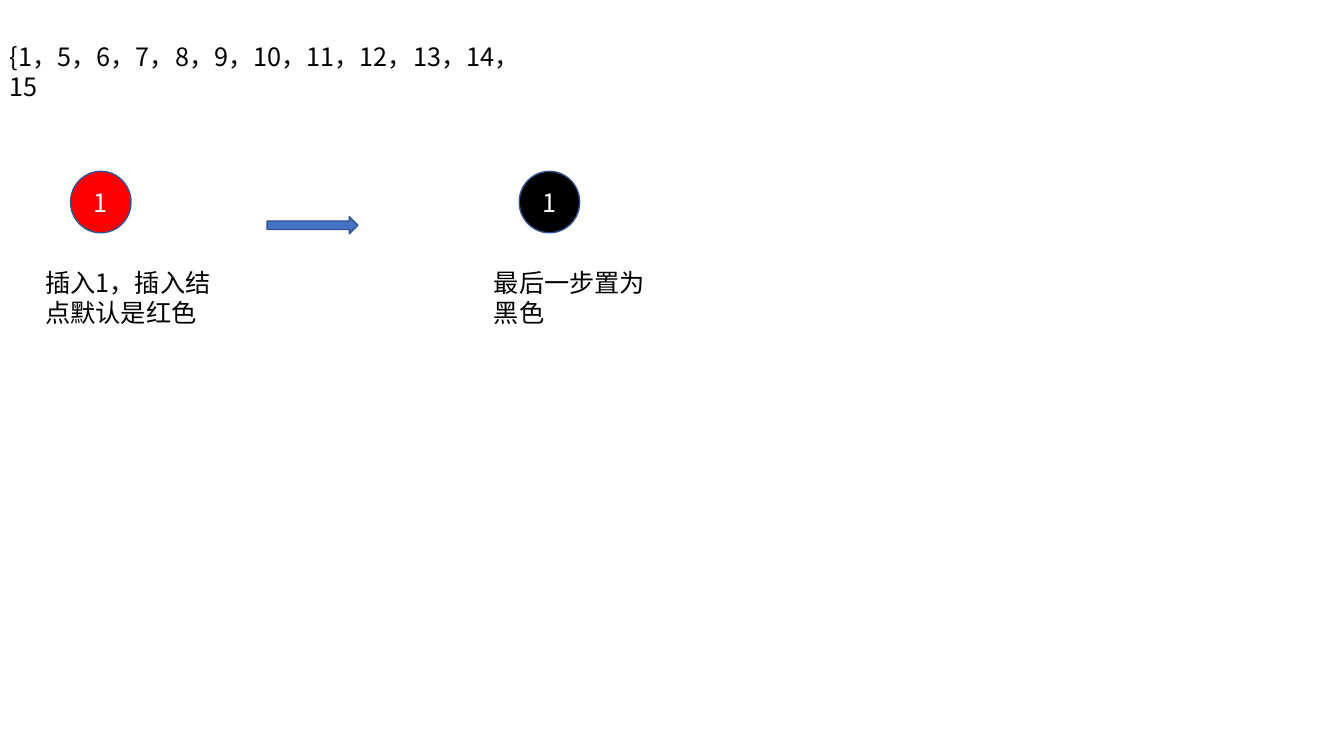
from lxml.etree import SubElement
from pptx import Presentation
from pptx.dml.color import RGBColor
from pptx.enum.shapes import MSO_SHAPE as Shape
from pptx.enum.text import MSO_ANCHOR as Anchor, MSO_AUTO_SIZE as AutoSize, PP_ALIGN as Align
from pptx.oxml.ns import qn
from pptx.util import Inches, Pt

FONT = "Noto Sans CJK SC"
BLACK = RGBColor(0x00, 0x00, 0x00)
WHITE = RGBColor(0xFF, 0xFF, 0xFF)
RED = RGBColor(0xFF, 0x00, 0x00)
BLUE = RGBColor(0x44, 0x72, 0xC4)
OUTLINE = RGBColor(0x32, 0x54, 0x91)

deck = Presentation()
deck.slide_width, deck.slide_height = Inches(13.33), Inches(7.5)
page = deck.slides.add_slide(deck.slide_layouts[6])


def write(box, text, color):
    frame = box.text_frame
    frame.word_wrap = True
    span = frame.paragraphs[0].add_run()
    span.text = text
    span.font.size = Pt(18)
    span.font.name = FONT
    span.font.color.rgb = color
    SubElement(span.font._element, qn("a:ea"), typeface=FONT)
    return frame


def draw(kind, left, top, width, height, fill):
    shape = page.shapes.add_shape(kind, Inches(left), Inches(top), Inches(width), Inches(height))
    shape.shadow.inherit = False
    shape.fill.solid()
    shape.fill.fore_color.rgb = fill
    shape.line.color.rgb = OUTLINE
    shape.line.width = Pt(1)
    return shape


keys = [1, *range(5, 16)]
captions = [(0, 0.36, 5.45, 0.4, "{" + ",".join(map(str, keys)))]

first_column, column_step = 0.35, 4.45
steps = [
    (RED, 2.08, "插入1,插入结点默认是红色"),
    (BLACK, 1.72, "最后一步置为黑色"),
]
for index, (fill, width, caption) in enumerate(steps):
    left = first_column + index * column_step
    node = draw(Shape.FLOWCHART_CONNECTOR, left + 0.35, 1.7, 0.6, 0.61, fill)
    frame = write(node, "1", WHITE)
    frame.vertical_anchor = Anchor.MIDDLE
    frame.paragraphs[0].alignment = Align.CENTER
    captions.append((left, 2.6, width, 0.71, caption))

for left, top, width, height, text in captions:
    box = page.shapes.add_textbox(Inches(left), Inches(top), Inches(width), Inches(height))
    frame = write(box, text.replace(",", "\uff0c"), BLACK)
    frame.auto_size = AutoSize.SHAPE_TO_FIT_TEXT

draw(Shape.RIGHT_ARROW, 2.65, 2.15, 0.9, 0.17, BLUE)

deck.save("out.pptx")
